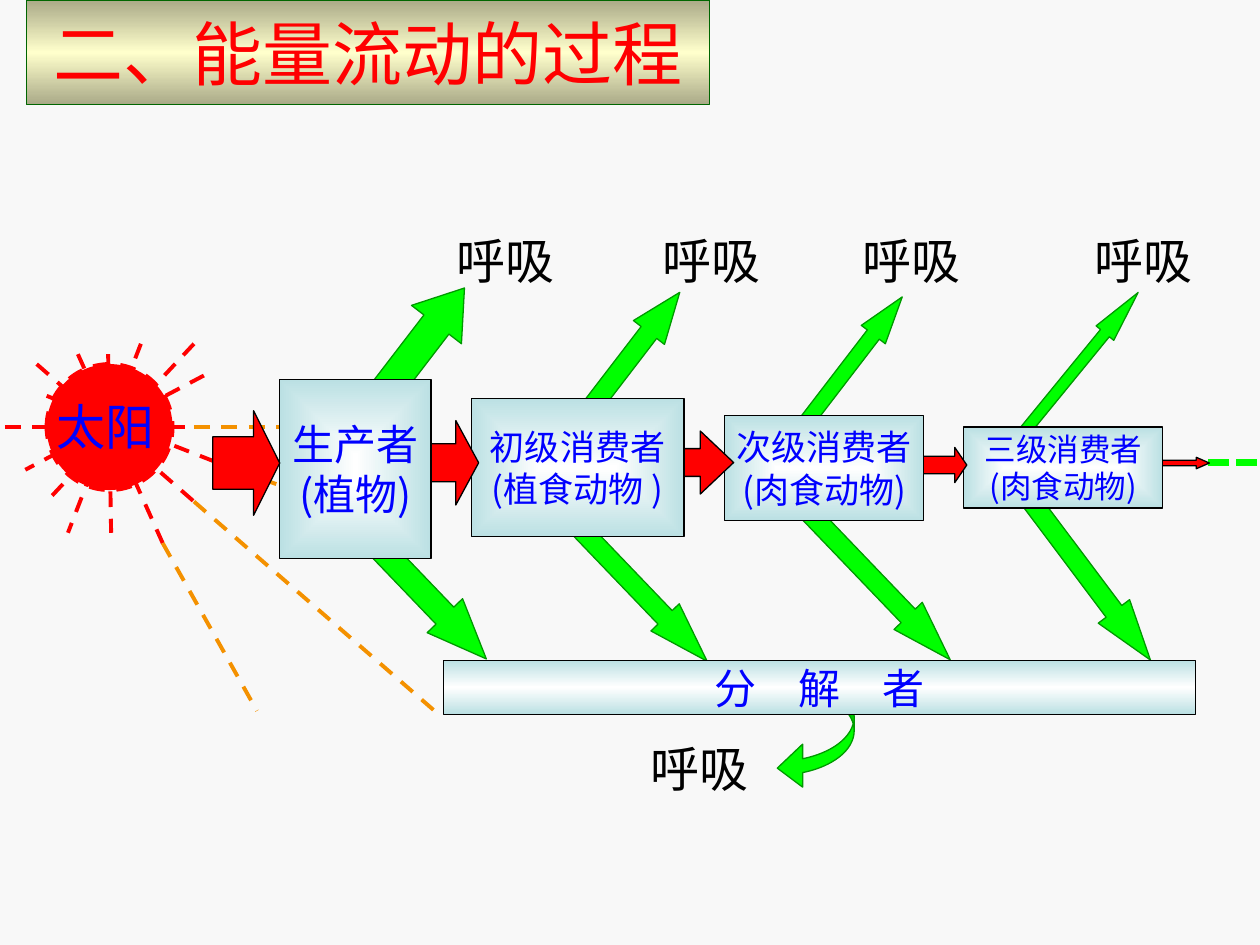
from lxml import etree
from pptx import Presentation
from pptx.dml.color import RGBColor
from pptx.enum.dml import MSO_LINE
from pptx.enum.shapes import MSO_CONNECTOR, MSO_SHAPE
from pptx.enum.text import MSO_ANCHOR, MSO_AUTO_SIZE, PP_ALIGN
from pptx.oxml import parse_xml
from pptx.oxml.ns import nsdecls, qn
from pptx.util import Cm, Pt

RECTANGLE, OVAL = MSO_SHAPE.RECTANGLE, MSO_SHAPE.OVAL
RIGHT_ARROW, CURVED_ARROW = MSO_SHAPE.RIGHT_ARROW, MSO_SHAPE.CURVED_LEFT_ARROW
STRAIGHT = MSO_CONNECTOR.STRAIGHT
DASH, DOT = MSO_LINE.DASH, MSO_LINE.SQUARE_DOT
LEFT, CENTER = PP_ALIGN.LEFT, PP_ALIGN.CENTER
MIDDLE, NO_FIT = MSO_ANCHOR.MIDDLE, MSO_AUTO_SIZE.NONE

BACKGROUND = RGBColor(0xF8, 0xF8, 0xF8)
BLACK = RGBColor(0, 0, 0)
RED = RGBColor(0xFF, 0, 0)
BLUE = RGBColor(0, 0, 0xFF)
ORANGE = RGBColor(0xF4, 0x91, 0)
GREEN = RGBColor(0, 0xFF, 0)
GREEN_EDGE = RGBColor(0, 0x99, 0)
TITLE_EDGE = RGBColor(0, 0x66, 0)
WHITE = RGBColor(0xFF, 0xFF, 0xFF)
TEAL = RGBColor(0xBB, 0xE0, 0xE3)
OLIVE = RGBColor(0xAA, 0xAA, 0x88)
CREAM = RGBColor(0xFF, 0xFF, 0xCC)
FONT = "Noto Sans CJK SC"
VERTICAL = '<a:lin ang="5400000" scaled="0"/>'
FROM_CENTER = ('<a:path path="rect"><a:fillToRect l="50000" t="50000" '
               'r="50000" b="50000"/></a:path>')


def write(shape, lines, size, color, align=CENTER, wrap=False):
    frame = shape.text_frame
    frame_format = {"word_wrap": wrap, "auto_size": NO_FIT, "vertical_anchor": MIDDLE}
    for name, value in frame_format.items():
        setattr(frame, name, value)
    for number, line in enumerate(lines):
        para = frame.add_paragraph() if number else frame.paragraphs[0]
        para.alignment = align
        span = para.add_run()
        span.text = line
        for name, value in {"size": Pt(size), "name": FONT, "bold": False}.items():
            setattr(span.font, name, value)
        span.font.color.rgb = color
        east_asian = etree.SubElement(span.font._element, qn("a:ea"))
        east_asian.set("typeface", FONT)


def add_solid(kind, place, fill, edge, adjustments=(), rotation=0):
    shape = slide.shapes.add_shape(kind, *map(Cm, place))
    shape.shadow.inherit = False
    shape.fill.solid()
    shape.fill.fore_color.rgb = fill
    shape.line.color.rgb = edge
    shape.line.width = Pt(0.75)
    shape.rotation = rotation
    for index, value in enumerate(adjustments):
        shape.adjustments[index] = value
    return shape


deck = Presentation()
deck.slide_width, deck.slide_height = Cm(25.4), Cm(19.05)
slide = deck.slides.add_slide(deck.slide_layouts[5])
slide.background.fill.solid()
slide.background.fill.fore_color.rgb = BACKGROUND

# Title
title = slide.shapes.title
title_place = {"left": 0.53, "top": 0, "width": 13.77, "height": 2.11}
for name, value in title_place.items():
    setattr(title, name, Cm(value))
title.line.color.rgb = TITLE_EDGE
title.line.width = Pt(0.75)
write(title, ["二、能量流动的过程"], 40, RED, wrap=True)

# Green arrows: up to respiration, down to the decomposers
green_arrows = [
    ((6.71, 6.48, 3.3, 1.27), 0.73, 307.5),
    ((10.8, 6.93, 3.61, 0.79), 1.29, 307.5),
    ((15.39, 7.06, 3.48, 0.61), 1.57, 307.5),
    ((19.94, 7.09, 3.68, 0.46), 2.3, 309.3),
    ((6.15, 11.23, 4.32, 0.99), 1.22, 46.2),
    ((10.49, 11.33, 4.45, 0.79), 1.55, 46.2),
    ((15.39, 11.3, 4.45, 0.79), 1.55, 46.2),
    ((19.63, 11.13, 4.45, 0.79), 1.55, 53.1),
]
for place, head, rotation in green_arrows:
    add_solid(RIGHT_ARROW, place, GREEN, GREEN_EDGE, (0.5, head), rotation)
add_solid(CURVED_ARROW, (15.67, 13.56, 1.55, 2.36), GREEN, GREEN_EDGE, (0.18, 0.56, 0.33))

# Respiration labels
for left, top in [(8.97, 4.52), (13.11, 4.52), (17.15, 4.52), (21.82, 4.52), (12.88, 14.76)]:
    label = slide.shapes.add_textbox(Cm(left), Cm(top), Cm(2.46), Cm(1.45))
    write(label, ["呼吸"], 28, BLACK)

# Sun, its rays and the dotted continuation of the chain
sun = add_solid(OVAL, (0.94, 7.34, 2.54, 2.54), RED, RED)
sun.line.width = Pt(2.25)
sun.line.dash_style = DASH
red_rays = [
    (0.1, 8.61, 4.11, 8.61), (2.18, 7.14, 2.24, 10.74),
    (0.74, 7.34, 3.91, 10.11), (3.91, 6.93, 0.94, 10.11),
    (1.57, 7.14, 3.28, 10.95), (2.84, 6.93, 1.37, 10.74),
    (4.11, 7.57, 0.51, 9.47), (0.94, 7.98, 4.75, 9.47),
]
orange_rays = [
    (3.28, 10.95, 5.18, 14.33), (3.91, 10.11, 8.76, 14.33),
    (4.75, 9.47, 8.36, 10.74), (3.91, 8.61, 7.09, 8.61),
]
line_groups = [
    (red_rays, RED, 2.25, DASH),
    (orange_rays, ORANGE, 2.25, DASH),
    ([(24.36, 9.32, 25.4, 9.32)], GREEN, 4, DOT),
]
for ends, color, width, dash in line_groups:
    for points in ends:
        ray = slide.shapes.add_connector(STRAIGHT, *map(Cm, points))
        ray.line.color.rgb = color
        ray.line.width = Pt(width)
        ray.line.dash_style = dash
        etree.SubElement(ray._element.spPr, qn("a:effectLst"))
sun_label = slide.shapes.add_textbox(Cm(0.89), Cm(7.87), Cm(3), Cm(1.45))
write(sun_label, ["太阳"], 28, BLUE, LEFT, True)

# Food chain from the last stage to the first, each with its incoming arrow
add_solid(RIGHT_ARROW, (23.24, 9.22, 1.14, 0.23), RED, BLACK, (0.5, 1.14))
stages = [
    (["三级消费者", "(肉食动物)"], 18, (19.43, 8.61, 4.01, 1.63),
     (18.42, 9.02, 1.07, 0.71), (0.5, 0.34)),
    (["次级消费者", "(肉食动物)"], 20, (14.61, 8.38, 4.01, 2.11),
     (13.67, 8.69, 1.12, 1.27), (0.44, 0.6)),
    (["初级消费者", "(植食动物 )"], 20, (9.5, 8.03, 4.29, 2.79),
     (8.53, 8.48, 1.12, 1.7), (0.45, 0.41)),
    (["生产者", "(植物)"], 24, (5.64, 7.65, 3.05, 3.61),
     (4.29, 8.28, 1.35, 2.11), (0.5, 0.39)),
]
gradients = [(title, [OLIVE, CREAM, OLIVE], VERTICAL)]
for lines, size, place, arrow_place, adjustments in stages:
    box = add_solid(RECTANGLE, place, TEAL, BLACK)
    write(box, lines, size, BLUE)
    gradients.append((box, [WHITE, TEAL], FROM_CENTER))
    add_solid(RIGHT_ARROW, arrow_place, RED, BLACK, adjustments)

# Decomposers
bar = add_solid(RECTANGLE, (8.94, 13.31, 15.16, 1.09), TEAL, BLACK)
write(bar, ["分　解　者"], 24, BLUE)
gradients.append((bar, [TEAL, WHITE, TEAL], VERTICAL))

# Gradient fills
for shape, colors, direction in gradients:
    shape.fill.gradient()
    old_fill = shape._element.spPr.find(qn("a:gradFill"))
    step = 100000 // (len(colors) - 1)
    stops = "".join(
        f'<a:gs pos="{index * step}"><a:srgbClr val="{color}"/></a:gs>'
        for index, color in enumerate(colors))
    new_fill = parse_xml(f'<a:gradFill {nsdecls("a")} rotWithShape="1">'
                         f'<a:gsLst>{stops}</a:gsLst>{direction}</a:gradFill>')
    old_fill.getparent().replace(old_fill, new_fill)

deck.save("out.pptx")
